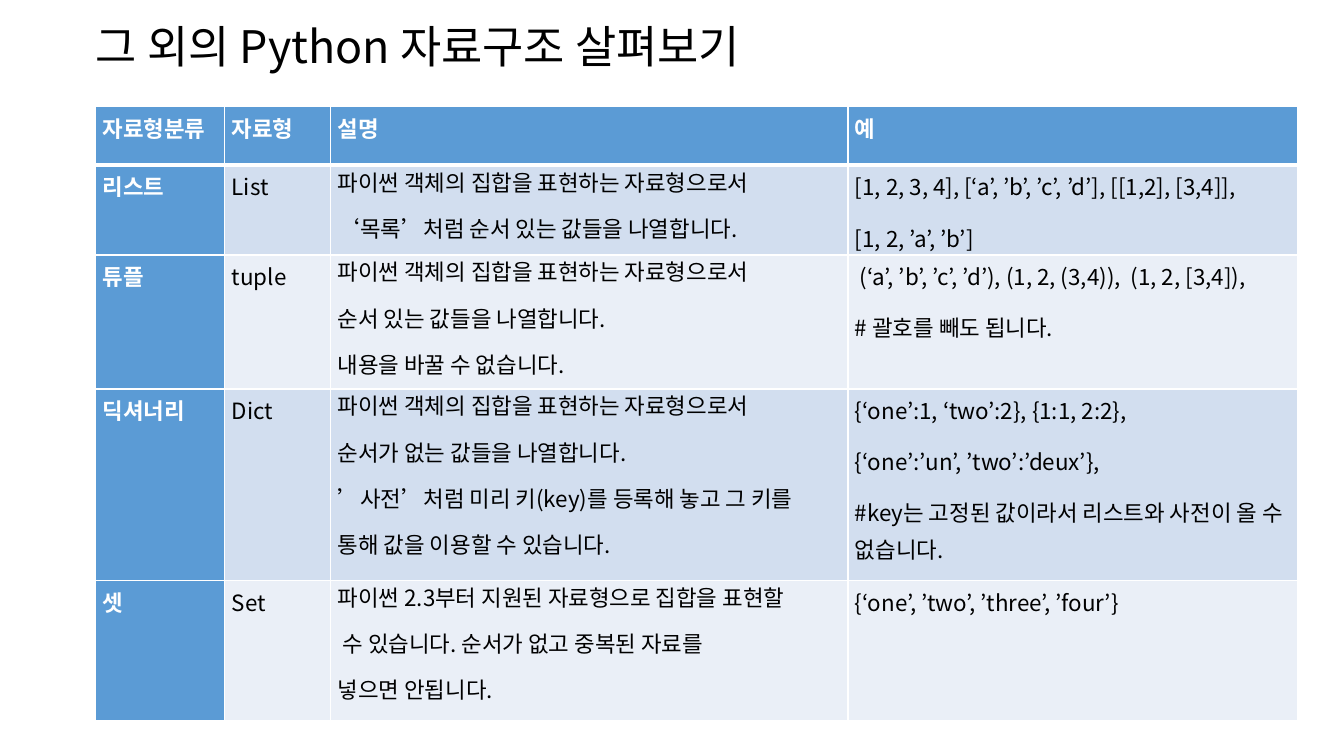
from lxml import etree
from pptx import Presentation
from pptx import util as u
from pptx.dml.color import RGBColor
from pptx.enum import text
from pptx.oxml.ns import qn

FONT = "Noto Sans CJK KR"
COLORS = {"text": "000000", "white": "FFFFFF", "header": "5B9BD5",
          "odd": "D2DEEF", "even": "EAEFF7"}
COLUMN_WIDTHS = [1.28, 1.05, 5.13, 4.46]
ROW_HEIGHTS = [0.58, 0.89, 1.33, 1.9, 1.39]
DESCRIPTION = 2
DATA_TYPES = [
    ["자료형분류", "자료형", "설명", "예"],
    ["리스트", "List",
     "파이썬 객체의 집합을 표현하는 자료형으로서\n‘목록’처럼 순서 있는 값들을 나열합니다.",
     "[1, 2, 3, 4], [‘a’, ’b’, ’c’, ’d’], [[1,2], [3,4]],\n[1, 2, ’a’, ’b’]"],
    ["튜플", "tuple",
     "파이썬 객체의 집합을 표현하는 자료형으로서\n순서 있는 값들을 나열합니다.\n내용을 바꿀 수 없습니다.",
     " (‘a’, ’b’, ’c’, ’d’), (1, 2, (3,4)),  (1, 2, [3,4]),\n# 괄호를 빼도 됩니다."],
    ["딕셔너리", "Dict",
     "파이썬 객체의 집합을 표현하는 자료형으로서\n순서가 없는 값들을 나열합니다.\n"
     "’사전’처럼 미리 키(key)를 등록해 놓고 그 키를\n통해 값을 이용할 수 있습니다.",
     "{‘one’:1, ‘two’:2}, {1:1, 2:2},\n{‘one’:’un’, ’two’:’deux’},\n"
     "#key는 고정된 값이라서 리스트와 사전이 올 수 없습니다."],
    ["셋", "Set",
     "파이썬 2.3부터 지원된 자료형으로 집합을 표현할\n"
     " 수 있습니다. 순서가 없고 중복된 자료를\n넣으면 안됩니다.",
     "{‘one’, ’two’, ’three’, ’four’}"],
]


def set_font(paragraph, size, color, bold=False):
    """Format a paragraph, giving Korean text the same typeface as Latin."""
    font = paragraph.font
    font.name, font.size, font.bold = FONT, u.Pt(size), bold
    font.color.rgb = RGBColor.from_string(COLORS[color])
    latin = paragraph._p.find(".//" + qn("a:latin"))
    east_asian = etree.Element(qn("a:ea"), typeface=FONT)
    latin.addnext(east_asian)


def set_borders(cell, bottom):
    properties = cell._tc.get_or_add_tcPr()
    widths = {"a:lnL": 1, "a:lnR": 1, "a:lnT": 1, "a:lnB": bottom}
    for position, (side, width) in enumerate(widths.items()):
        line = etree.Element(qn(side), w=str(u.Pt(width)))
        fill = etree.SubElement(line, qn("a:solidFill"))
        etree.SubElement(fill, qn("a:srgbClr"), val=COLORS["white"])
        properties.insert(position, line)


def fill_cell(cell, content, row, column):
    heading = row == 0 or column == 0
    background = "header" if heading else "odd" if row % 2 else "even"
    cell.fill.solid()
    cell.fill.fore_color.rgb = RGBColor.from_string(COLORS[background])
    cell.margin_left = cell.margin_right = u.Inches(0.07)
    cell.margin_top = cell.margin_bottom = 0
    cell.text = content
    for paragraph in cell.text_frame.paragraphs:
        set_font(paragraph, 16, "white" if heading else "text", heading)
        paragraph.space_before = u.Pt(10)
        if column == DESCRIPTION and row > 0:
            paragraph.alignment = text.PP_ALIGN.JUSTIFY
        else:
            paragraph.line_spacing = 1.15
    set_borders(cell, 3 if row == 0 else 1)


def add_title(slide, wording):
    title = slide.shapes.title
    title.left, title.top = u.Inches(0.85), u.Inches(-0.24)
    title.width, title.height = u.Inches(11.5), u.Inches(1.45)
    frame = title.text_frame
    frame.text = wording
    frame.auto_size = text.MSO_AUTO_SIZE.NONE
    frame.vertical_anchor = text.MSO_ANCHOR.MIDDLE
    heading = frame.paragraphs[0]
    heading.alignment = text.PP_ALIGN.LEFT
    heading.line_spacing = 0.9
    set_font(heading, 32, "text")


def add_data_type_table(slide):
    table = slide.shapes.add_table(
        len(ROW_HEIGHTS), len(COLUMN_WIDTHS), u.Inches(0.95), u.Inches(1.06),
        u.Inches(sum(COLUMN_WIDTHS)), u.Inches(sum(ROW_HEIGHTS))).table
    table.first_col = True
    for column, width in zip(table.columns, COLUMN_WIDTHS):
        column.width = u.Inches(width)
    for row, height in zip(table.rows, ROW_HEIGHTS):
        row.height = u.Inches(height)
    for row, contents in enumerate(DATA_TYPES):
        for column, content in enumerate(contents):
            fill_cell(table.cell(row, column), content, row, column)


def main():
    presentation = Presentation()
    presentation.slide_width = u.Inches(13.33)
    presentation.slide_height = u.Inches(7.5)
    slide = presentation.slides.add_slide(presentation.slide_layouts[5])
    add_title(slide, "그 외의 Python 자료구조 살펴보기")
    add_data_type_table(slide)
    presentation.save("out.pptx")


if __name__ == "__main__":
    main()
